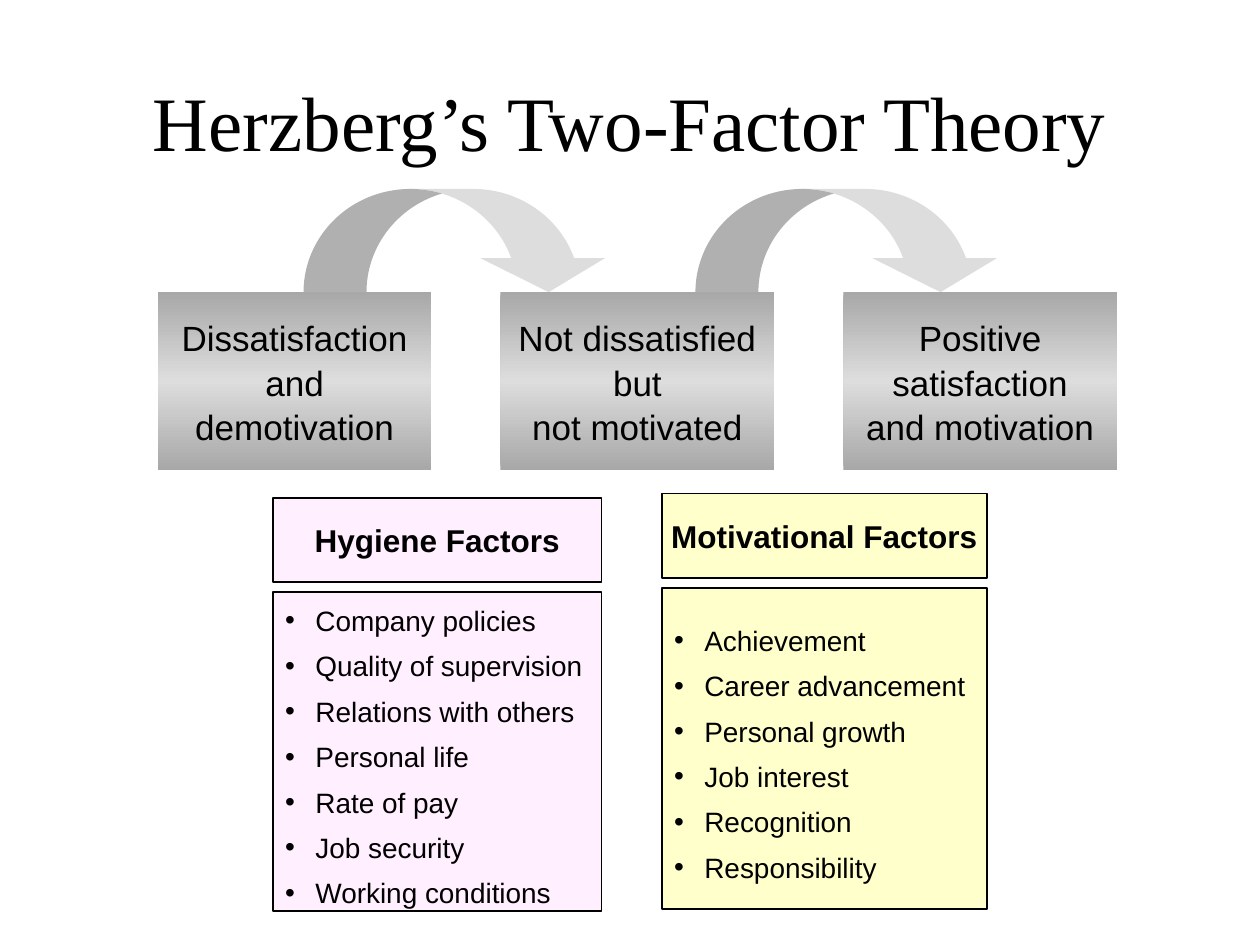
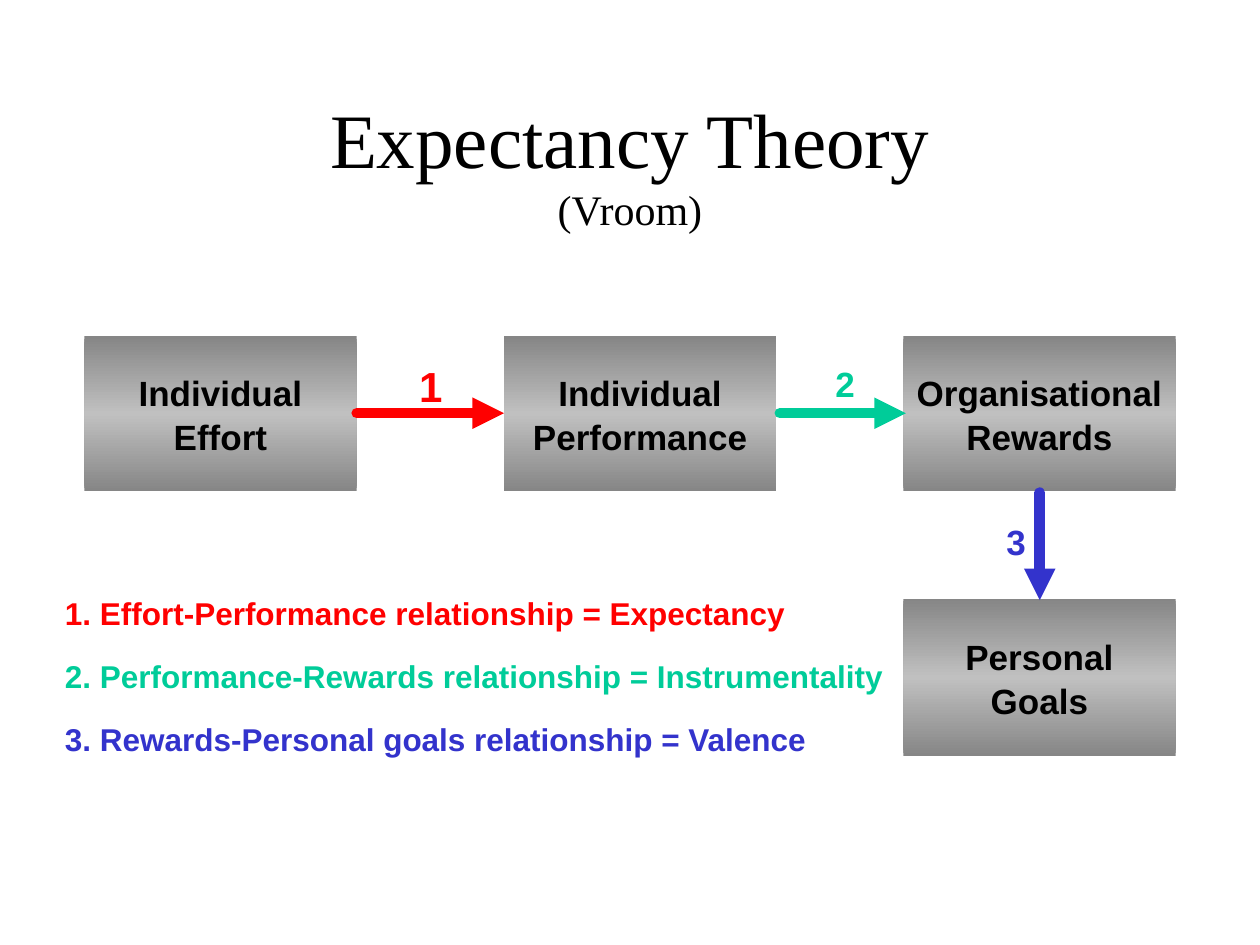
from copy import deepcopy

from lxml import etree
from pptx import Presentation
from pptx.dml import color
from pptx.enum import shapes, text
from pptx.oxml import ns
from pptx.util import Cm, Pt

COLORS = {
    "ink": "000000",
    "state_edge": "A8A8A8",
    "state_middle": "DDDDDD",
    "stage_edge": "868686",
    "stage_middle": "C0C0C0",
    "hygiene": "FFEFFF",
    "motivational": "FFFFCC",
    "expectancy": "FF0000",
    "instrumentality": "00CC99",
    "valence": "3333CC",
}
BODY_FONT = "Arial"
TITLE_FONT = "Times New Roman"
LIST_INDENT = Cm(0.61)


def rgb(name):
    return color.RGBColor.from_string(COLORS[name])


def add_element(parent, tag, **attributes):
    return etree.SubElement(parent, ns.qn(tag), **attributes)


def write_lines(shape, lines, size, ink="ink", font=BODY_FONT, bold=False,
                align=text.PP_ALIGN.CENTER, anchor=text.MSO_ANCHOR.MIDDLE,
                wrap=False, spacing=1.0, bulleted=False):
    frame = shape.text_frame
    frame.word_wrap = wrap
    frame.vertical_anchor = anchor
    frame.text = "\n".join(lines)
    for paragraph in frame.paragraphs:
        paragraph.alignment = align
        paragraph.line_spacing = spacing
        if bulleted:
            paragraph.space_after = Pt(1)
            properties = paragraph._p.get_or_add_pPr()
            properties.set("marL", str(LIST_INDENT))
            properties.set("indent", str(-LIST_INDENT))
            add_element(properties, "a:buFont", typeface=BODY_FONT)
            add_element(properties, "a:buChar", char="•")
        paragraph.font.name = font
        paragraph.font.size = Pt(size)
        paragraph.font.bold = bold
        paragraph.font.color.rgb = rgb(ink)
    return frame


def add_title(slide, lines, left, top, width):
    title = slide.shapes.add_textbox(Cm(left), Cm(top), Cm(width), Cm(3.18))
    return write_lines(title, lines, 44, font=TITLE_FONT, wrap=True)


def add_label(slide, label, left, top, width, size, ink, wrap=False):
    box = slide.shapes.add_textbox(Cm(left), Cm(top), Cm(width), Cm(1.02))
    write_lines(box, [label], size, ink, bold=True, wrap=wrap,
                align=text.PP_ALIGN.LEFT, anchor=text.MSO_ANCHOR.TOP)


def add_preset(slide, preset, left, top, width, height):
    shape = slide.shapes.add_shape(preset, Cm(left), Cm(top), Cm(width), Cm(height))
    shape.shadow.inherit = False
    shape.line.fill.background()
    return shape


def add_gradient_box(slide, lines, left, top, width, height, tone, bold=False):
    box = add_preset(slide, shapes.MSO_SHAPE.RECTANGLE, left, top, width, height)
    box.fill.gradient()
    box.fill.gradient_angle = 90
    stop_list = box._element.spPr.find(".//" + ns.qn("a:gsLst"))
    stop_list.append(deepcopy(stop_list[0]))
    edge, middle = f"{tone}_edge", f"{tone}_middle"
    for index, (stop, name) in enumerate(zip(box.fill.gradient_stops, (edge, middle, edge))):
        stop.position = index / 2
        stop.color.rgb = rgb(name)
    write_lines(box, lines, 20, bold=bold, spacing=1.05)


def add_curved_arrow(slide, left):
    arrow = add_preset(slide, shapes.MSO_SHAPE.CURVED_DOWN_ARROW, left, 3.81, 6.2, 2.08)
    for index, ratio in enumerate((0.61, 1.21, 0.33)):
        arrow.adjustments[index] = ratio
    arrow.fill.solid()
    arrow.fill.fore_color.rgb = rgb("state_middle")


def add_panel(slide, left, top, width, height, fill):
    panel = add_preset(slide, shapes.MSO_SHAPE.RECTANGLE, left, top, width, height)
    panel.fill.solid()
    panel.fill.fore_color.rgb = rgb(fill)
    panel.line.color.rgb = rgb("ink")
    panel.line.width = Pt(1)
    return panel


def add_factor_list(slide, heading, factors, left, top, width, list_height, fill):
    header = add_panel(slide, left, top, width, 1.7, fill)
    write_lines(header, [heading], 18, bold=True)
    body = add_panel(slide, left, top + 1.9, width, list_height, fill)
    write_lines(body, factors, 16, align=text.PP_ALIGN.LEFT, wrap=True,
                spacing=1.3, bulleted=True)


def add_arrow(slide, start, end, ink):
    arrow = slide.shapes.add_connector(
        shapes.MSO_CONNECTOR.STRAIGHT, *map(Cm, start + end))
    arrow.line.color.rgb = rgb(ink)
    arrow.line.width = Pt(6)
    line = arrow.line._get_or_add_ln()
    line.set("cap", "rnd")
    add_element(line, "a:round")
    add_element(line, "a:tailEnd", type="triangle")
    add_element(arrow._element.spPr, "a:effectLst")


def build_two_factor(slide):
    states = [
        ["Dissatisfaction", "and", "demotivation"],
        ["Not dissatisfied", "but", "not motivated"],
        ["Positive", "satisfaction", "and motivation"],
    ]
    for index, lines in enumerate(states):
        add_gradient_box(slide, lines, 3.18 + 6.91 * index, 5.89, 5.52, 3.58, "state")
    for index in range(len(states) - 1):
        add_curved_arrow(slide, 6.12 + 7.9 * index)
    add_factor_list(slide, "Hygiene Factors", [
        "Company policies", "Quality of supervision", "Relations with others",
        "Personal life", "Rate of pay", "Job security", "Working conditions",
    ], 5.5, 10.04, 6.63, 6.42, "hygiene")
    add_factor_list(slide, "Motivational Factors", [
        "Achievement", "Career advancement", "Personal growth",
        "Job interest", "Recognition", "Responsibility",
    ], 13.34, 9.95, 6.56, 6.48, "motivational")
    add_title(slide, ["Herzberg’s Two-Factor Theory"], 1.9, 0.85, 21.59)


def build_expectancy(slide):
    title = add_title(slide, ["Expectancy Theory", "(Vroom)"], 1.27, 1.69, 22.86)
    title.paragraphs[1].font.size = Pt(24)

    stages = [
        (["Individual", "Effort"], 1.7, 6.78, 3.12),
        (["Individual", "Performance"], 10.16, 6.78, 3.12),
        (["Organisational", "Rewards"], 18.21, 6.78, 3.12),
        (["Personal", "Goals"], 18.21, 12.07, 3.17),
    ]
    for lines, left, top, height in stages:
        add_gradient_box(slide, lines, left, top, 5.49, height, "stage", bold=True)

    links = [
        ("expectancy", "Effort-Performance relationship = Expectancy",
         (7.19, 8.33), (10.16, 8.33), (8.2, 7.14), 24),
        ("instrumentality", "Performance-Rewards relationship = Instrumentality",
         (15.72, 8.33), (18.26, 8.33), (16.59, 7.19), 20),
        ("valence", "Rewards-Personal goals relationship = Valence",
         (20.96, 9.93), (20.96, 12.1), (20.04, 10.36), 20),
    ]
    for index, (ink, meaning, start, end, label_at, size) in enumerate(links):
        number = str(index + 1)
        add_arrow(slide, start, end, ink)
        add_label(slide, number, *label_at, 0.95, size, ink)
        add_label(slide, f"{number}. {meaning}", 1.06, 11.86 + 1.27 * index,
                  17.2, 18, ink, wrap=True)


def main():
    presentation = Presentation()
    presentation.slide_width = Cm(25.4)
    presentation.slide_height = Cm(19.05)
    for build in (build_two_factor, build_expectancy):
        build(presentation.slides.add_slide(presentation.slide_layouts[6]))
    presentation.save("out.pptx")


if __name__ == "__main__":
    main()
